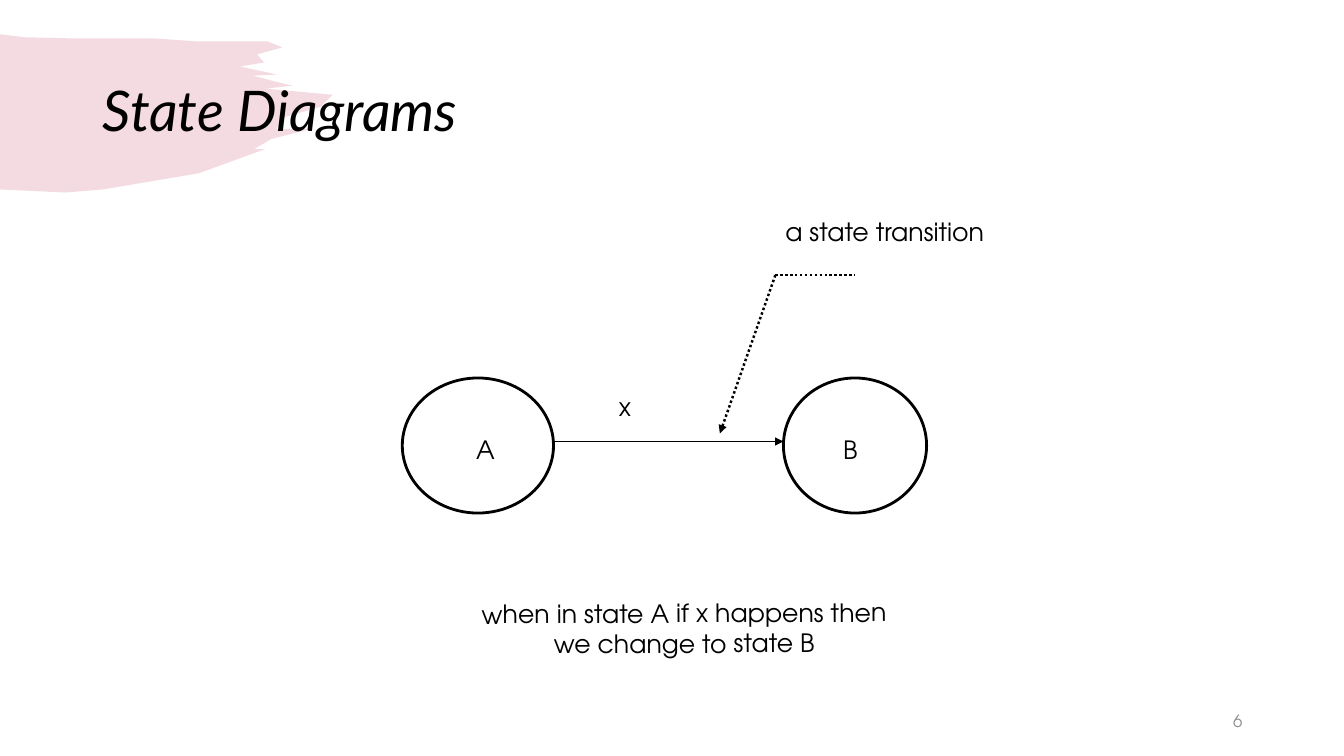
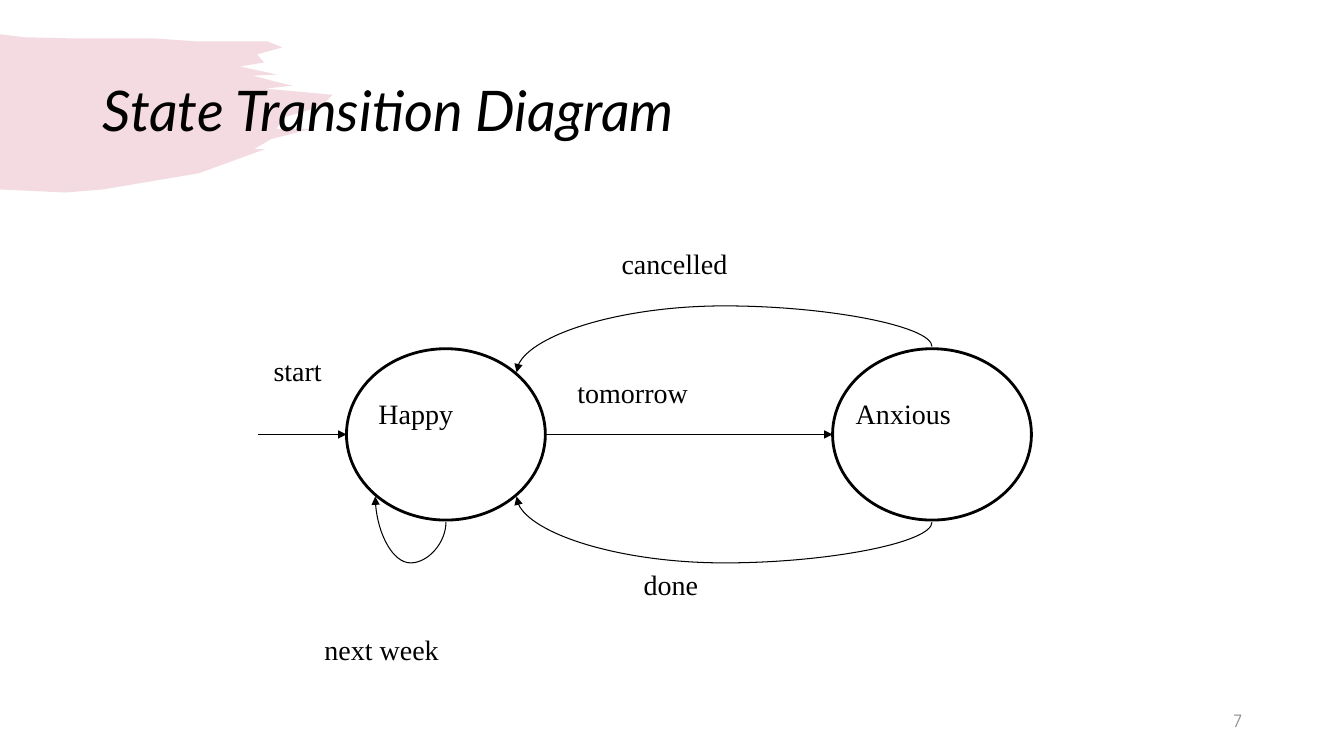
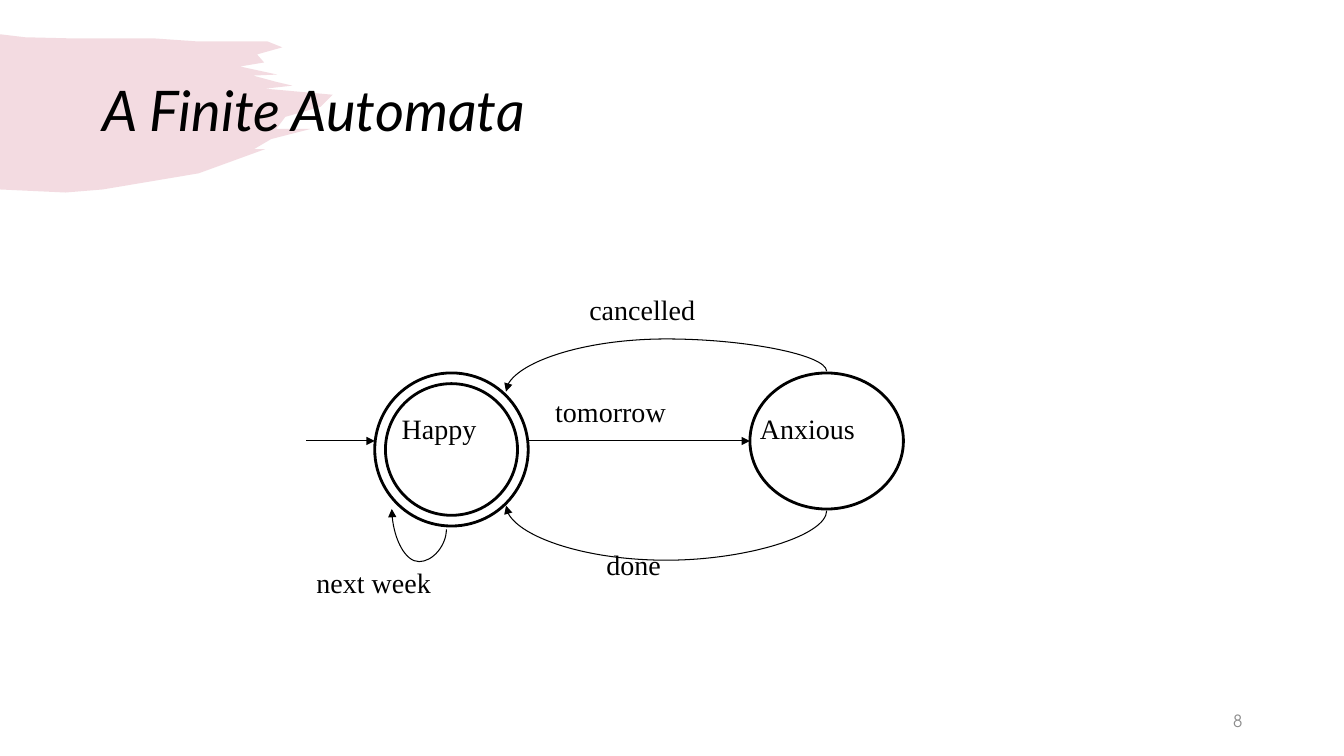
import pptx
import pptx.dml.color
import pptx.enum.dml
import pptx.enum.shapes
import pptx.enum.text
import pptx.oxml.ns
import pptx.util
from lxml import etree

Inches = pptx.util.Inches
Pt = pptx.util.Pt
RGBColor = pptx.dml.color.RGBColor
qn = pptx.oxml.ns.qn
SHAPE = pptx.enum.shapes.MSO_SHAPE
CONNECTOR = pptx.enum.shapes.MSO_CONNECTOR
ALIGN = pptx.enum.text.PP_ALIGN
ANCHOR = pptx.enum.text.MSO_ANCHOR
DOTTED = pptx.enum.dml.MSO_LINE.ROUND_DOT

INK = RGBColor(0x00, 0x00, 0x00)
WHITE = RGBColor(0xFF, 0xFF, 0xFF)
ROSE = RGBColor(0xC3, 0x4D, 0x6C)
GREY = RGBColor(0x8C, 0x8C, 0x8C)
TITLE_FONT = "Lato"
BODY_FONT = "TeX Gyre Adventor"
LABEL_FONT = "Times New Roman"
FIRST_PAGE = 6

BRUSH_EDGE = [
    (0.25, 0.37), (0.66, 0.38), (1.51, 0.38), (1.94, 0.41), (2.65, 0.41), (2.8, 0.47),
    (2.55, 0.54), (2.62, 0.62), (2.38, 0.66), (2.75, 0.74), (2.51, 0.75), (2.73, 0.81),
    (2.9, 0.85), (2.63, 0.88), (3.3, 0.94), (3.18, 1.06), (2.83, 1.16), (2.74, 1.28),
    (3.08, 1.28), (2.69, 1.38), (2.52, 1.48), (2.63, 1.48), (1.97, 1.72), (1.02, 1.88),
    (0.65, 1.91), (0, 1.88),
]


def add_brush(slide):
    """Draw the brush stroke and move it to the layout of the slide."""
    builder = slide.shapes.build_freeform(0, Inches(0.34), scale=1)
    builder.add_line_segments([(Inches(x), Inches(y)) for x, y in BRUSH_EDGE])
    brush = builder.convert_to_shape()
    brush.shadow.inherit = False
    brush.fill.solid()
    brush.fill.fore_color.rgb = ROSE
    brush.line.fill.background()
    colour = brush.element.spPr.find(qn("a:solidFill")).find(qn("a:srgbClr"))
    etree.SubElement(colour, qn("a:alpha")).set("val", "20000")
    slide.slide_layout.shapes.element.insert(2, brush.element)


def style(paragraph, font, size, colour=INK):
    """Set the font of a paragraph."""
    paragraph.font.name = font
    paragraph.font.size = Pt(size)
    paragraph.font.color.rgb = colour


def add_label(slide, lines, left, top, width, height, font, size,
              colour=INK, align=ALIGN.LEFT, anchor=ANCHOR.TOP):
    """Add a text box with one paragraph for each line."""
    label = slide.shapes.add_textbox(Inches(left), Inches(top), Inches(width), Inches(height))
    frame = label.text_frame
    frame.word_wrap = True
    frame.vertical_anchor = anchor
    frame.text = lines
    for paragraph in frame.paragraphs:
        paragraph.alignment = align
        style(paragraph, font, size, colour)
    return label


def add_state(slide, left, top, width, height, accepting=False, filled=True):
    """Add a state circle, with a double ring if it is accepting."""
    state = slide.shapes.add_shape(
        SHAPE.DONUT if accepting else SHAPE.OVAL,
        Inches(left), Inches(top), Inches(width), Inches(height))
    state.shadow.inherit = False
    if accepting:
        state.adjustments[0] = 0.07
    if filled and not accepting:
        state.fill.solid()
        state.fill.fore_color.rgb = WHITE
    else:
        state.fill.background()
    state.line.color.rgb = INK
    state.line.width = Pt(2)


def finish_line(connector, weight=0.75, dash=None, arrow=True):
    """Give a connector its stroke and arrowhead and no shadow."""
    connector.line.color.rgb = INK
    connector.line.width = Pt(weight)
    if dash:
        connector.line.dash_style = dash
    properties = connector.element.spPr
    if arrow:
        etree.SubElement(properties.find(qn("a:ln")), qn("a:tailEnd")).set("type", "triangle")
    etree.SubElement(properties, qn("a:effectLst"))


def add_straight(slide, start, end, **stroke):
    """Add a straight line between two points."""
    ends = [Inches(value) for value in (*start, *end)]
    finish_line(slide.shapes.add_connector(CONNECTOR.STRAIGHT, *ends), **stroke)


def add_arc(slide, start, end, peak):
    """Add a curved arrow that runs leftwards by way of the height peak."""
    (x1, y1), (x2, y2) = start, end
    width, height = abs(y2 - y1), abs(x2 - x1)
    left, top = (x1 + x2 - width) / 2, (y1 + y2 - height) / 2
    box = [Inches(value) for value in (left, top, left + width, top + height)]
    arc = slide.shapes.add_connector(CONNECTOR.CURVE, *box)
    frame = arc.element.spPr.find(qn("a:xfrm"))
    frame.set("rot", str(270 * 60000))
    frame.set("flipV", "1")
    if y2 > y1:
        frame.set("flipH", "1")
    geometry = arc.element.spPr.find(qn("a:prstGeom"))
    guide = etree.SubElement(geometry.find(qn("a:avLst")), qn("a:gd"))
    guide.set("name", "adj1")
    guide.set("fmla", f"val {round((peak - y1) / (y2 - y1) * 100000)}")
    finish_line(arc)


def add_page(deck, title, number):
    """Add a slide with its title and page number."""
    slide = deck.slides.add_slide(deck.slide_layouts[5])
    heading = slide.shapes.title
    heading.left, heading.top = Inches(0.92), Inches(0.4)
    heading.width, heading.height = Inches(11.5), Inches(1.45)
    heading.text_frame.text = title
    heading.text_frame.vertical_anchor = ANCHOR.MIDDLE
    paragraph = heading.text_frame.paragraphs[0]
    paragraph.alignment = ALIGN.LEFT
    paragraph.line_spacing = 0.9
    style(paragraph, TITLE_FONT, 40)
    paragraph.font.italic = True
    add_label(slide, str(number), 9.42, 6.95, 3, 0.4, BODY_FONT, 12,
              GREY, ALIGN.RIGHT, ANCHOR.MIDDLE)
    return slide


def add_transition(slide, left, top):
    """Draw one transition between states A and B, with its explanation."""
    def at(x, y):
        return left + x, top + y

    centred = {"align": ALIGN.CENTER, "anchor": ANCHOR.MIDDLE}
    for name, state_x, width, label_x in (("A", 1.18, 1.5, 1.18), ("B", 4.96, 1.42, 4.8)):
        add_state(slide, *at(state_x, 1.65), width, 1.34, filled=False)
        add_label(slide, name, *at(label_x, 1.73), 1.65, 1.26, BODY_FONT, 18, **centred)
    add_straight(slide, at(2.68, 2.28), at(4.96, 2.28))
    add_label(slide, "x", *at(3.23, 1.73), 0.5, 0.41, BODY_FONT, 18)
    corner = at(4.88, 0.63)
    add_straight(slide, corner, at(4.33, 2.2), weight=1.75, dash=DOTTED)
    add_straight(slide, corner, at(5.67, 0.63), weight=1.75, dash=DOTTED, arrow=False)
    add_label(slide, "a state transition", *at(4.88, 0), 3.31, 0.41, BODY_FONT, 18)
    caption = add_label(
        slide, "when in state A if x happens then\nwe change to state B",
        *at(0, 3.62), 7.95, 1.02, BODY_FONT, 18, **centred)
    caption.rotation = -0.3


def add_mood_machine(slide, left, top, width, height, accepting=False):
    """Draw the Happy and Anxious states on a grid of 35 by 8 units."""
    unit_x, unit_y = width / 35, height / 8
    happy, happy_end, anxious = 4, 13, 26
    drop = 1 if accepting else 0

    def at(column, row):
        return left + column * unit_x, top + (row + 4) * unit_y

    def label(text, column, row):
        add_label(slide, text, *at(column, row), 9 * unit_x, 3 * unit_y, LABEL_FONT, 20)

    def arc(start, end, peak):
        add_arc(slide, at(*start), at(*end), at(0, peak)[1])

    add_state(slide, *at(happy, -4), 9 * unit_x, (8 + drop) * unit_y, accepting)
    add_state(slide, *at(anxious, -4), 9 * unit_x, 8 * unit_y)
    add_straight(slide, at(0, 0), at(happy, 0))
    add_straight(slide, at(happy_end, 0), at(anxious, 0))
    arc((anxious + 4.5, -4.1), (happy_end - 1.3, -2.9), -6)
    arc((anxious + 4.5, 4.1), (happy_end - 1.3, 2.9 + 0.9 * drop), 6 + drop)
    arc((happy + 4.5 - 0.3 * drop, 4.1 + 1.1 * drop),
        (happy + 1.3 - 0.3 * drop, 2.9 + 1.1 * drop), 6 + 1.1 * drop)

    label("Happy", happy + 1, -2)
    label("tomorrow", happy_end + 1, -3)
    label("cancelled", happy_end + 3, -9)
    label("done", happy_end + 4, 6)
    if accepting:
        label("Anxious", anxious, -2)
        label("next week", 0, 7)
    else:
        label("Anxious", anxious + 0.6, -2)
        label("next week", 2.55, 9)
        label("start", 0.25, -4)


def main():
    """Build the three slides and save them."""
    deck = pptx.Presentation()
    deck.slide_width, deck.slide_height = Inches(13.33), Inches(7.5)
    titles = ("State Diagrams", "State Transition Diagram", "A Finite Automata")
    transition, diagram, automaton = [
        add_page(deck, title, number) for number, title in enumerate(titles, FIRST_PAGE)]
    add_brush(transition)
    add_transition(transition, 2.81, 2.1)
    add_mood_machine(diagram, 2.56, 3.46, 7.67, 1.7)
    add_mood_machine(automaton, 3.04, 3.7, 5.92, 1.35, accepting=True)
    deck.save("out.pptx")


if __name__ == "__main__":
    main()
